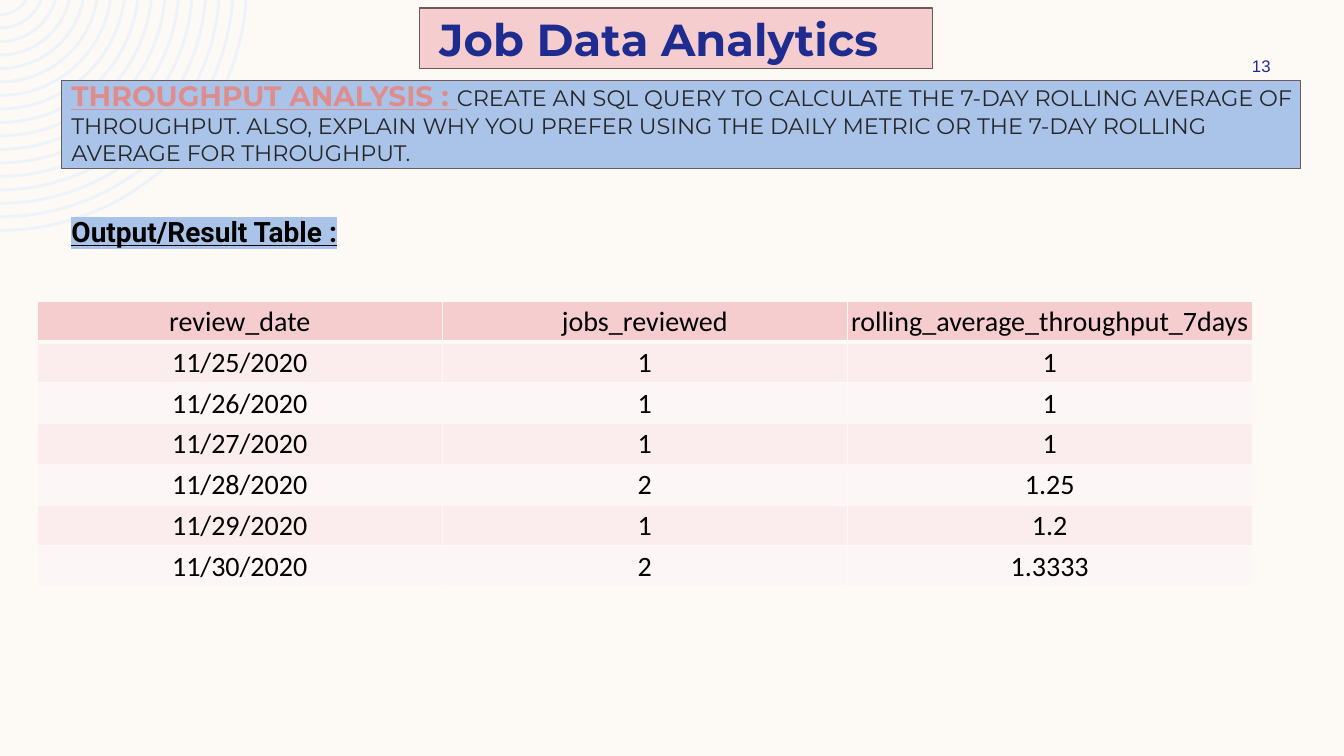
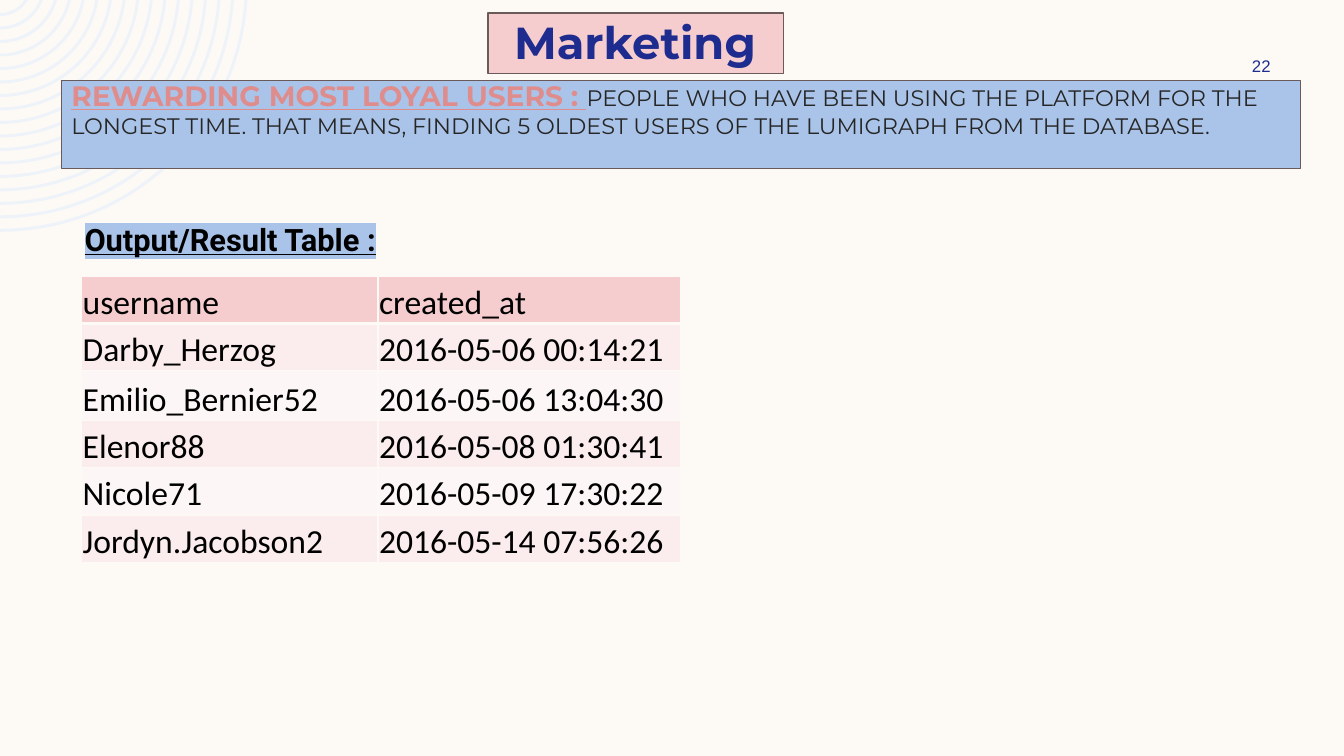
from math import asin, cos, pi, sin, tan

from lxml import etree
from pptx import Presentation
from pptx.dml.color import RGBColor
from pptx.enum.shapes import MSO_SHAPE
from pptx.enum.text import MSO_ANCHOR, PP_ALIGN
from pptx.oxml.ns import qn
from pptx.util import Inches, Pt

RECT = MSO_SHAPE.RECTANGLE
TOP, MID, LOW = MSO_ANCHOR.TOP, MSO_ANCHOR.MIDDLE, MSO_ANCHOR.BOTTOM
LEFT, CENTER = PP_ALIGN.LEFT, PP_ALIGN.CENTER


class Theme:
    paper, ring, edge = "FDFAF6", "EEF3FA", "6B5A5A"
    blue, pink, rose, navy = "AAC4E9", "F5CDCE", "DF8C8C", "1F2C8F"
    ink, black = "262626", "000000"
    bands = ["FDF6F6", "FBEDED"]
    head, sans, label, cells = "Montserrat", "Arial", "Roboto", "Calibri"
    title, lead, body, small = 32, 20, 16, 12


def style(run, face, size, color, bold=False, under=False):
    font = run.font
    font.name, font.size = face, Pt(size)
    font.bold, font.underline = bold, under
    font.color.rgb = RGBColor.from_string(color)


def write(slide, area, parts, anchor=TOP, align=LEFT):
    box = slide.shapes.add_textbox(*map(Inches, area))
    frame = box.text_frame
    frame.word_wrap = True
    frame.vertical_anchor = anchor
    para = frame.paragraphs[0]
    para.alignment = align
    for text, *look in parts:
        run = para.add_run()
        run.text = text
        style(run, *look)
    return box


pages = [
    dict(
        title="Job Data Analytics", plate=(4.16, 0.08, 5.09, 0.6),
        name=(4.26, 0.26, 4.99, 0.24), number="13",
        lead="THROUGHPUT ANALYSIS : ",
        task="CREATE AN SQL QUERY TO CALCULATE THE 7-DAY ROLLING AVERAGE OF "
             "THROUGHPUT. ALSO, EXPLAIN WHY YOU PREFER USING THE DAILY METRIC OR "
             "THE 7-DAY ROLLING AVERAGE FOR THROUGHPUT.",
        label=(0.61, 2.08, 5.79, 0.44), label_size=20,
        grid=(0.37, 2.99), widths=[12.05 / 3] * 3, heights=[2.83 / 7] * 7,
        size=20, anchor=MID, align=CENTER,
        rows=[
            ("review_date", "jobs_reviewed", "rolling_average_throughput_7days"),
            ("11/25/2020", "1", "1"),
            ("11/26/2020", "1", "1"),
            ("11/27/2020", "1", "1"),
            ("11/28/2020", "2", "1.25"),
            ("11/29/2020", "1", "1.2"),
            ("11/30/2020", "2", "1.3333"),
        ],
    ),
    dict(
        title="Marketing", plate=(4.84, 0.13, 2.93, 0.6),
        name=(5, 0.26, 3.5, 0.3), number="22",
        lead="REWARDING MOST LOYAL USERS : ",
        task="PEOPLE WHO HAVE BEEN USING THE PLATFORM FOR THE LONGEST TIME. THAT "
             "MEANS, FINDING 5 OLDEST USERS OF THE LUMIGRAPH FROM THE DATABASE.",
        label=(0.74, 2.14, 5.79, 0.47), label_size=22,
        grid=(0.81, 2.74), widths=[2.94, 3], heights=[0.47, 0.47, 0.49, 0.47, 0.47, 0.47],
        size=24, anchor=LOW, align=LEFT,
        rows=[
            ("username", "created_at"),
            ("Darby_Herzog", "2016-05-06 00:14:21"),
            ("Emilio_Bernier52", "2016-05-06 13:04:30"),
            ("Elenor88", "2016-05-08 01:30:41"),
            ("Nicole71", "2016-05-09 17:30:22"),
            ("Jordyn.Jacobson2", "2016-05-14 07:56:26"),
        ],
    ),
]

deck = Presentation()
deck.slide_width, deck.slide_height = Inches(13.33), Inches(7.5)
blank = deck.slide_layouts[6]
blank.background.fill.solid()
blank.background.fill.fore_color.rgb = RGBColor.from_string(Theme.paper)
slides = [deck.slides.add_slide(blank) for page in pages]

rise = 0.16
rings = []
for index in range(17):
    outer = 2.46 - index * 2.14 / 16
    ring = []
    for radius, order in ((outer, 1), (outer - 0.03, -1)):
        turn = asin(rise / radius)
        pull = radius * 4 / 3 * tan((pi / 2 - turn) / 4)
        x, y = radius * cos(turn), radius * sin(turn)
        curve = [(x, y), (x - pull * sin(turn), y + pull * cos(turn)),
                 (pull, radius), (0, radius)]
        ring += [(Inches(x), Inches(y - rise)) for x, y in curve[::order]]
    rings.append(ring)

pen = slides[0].shapes.build_freeform(*rings[0][0])
pen.add_line_segments(rings[0][1:])
for ring in rings[1:]:
    pen.move_to(*ring[0])
    pen.add_line_segments(ring[1:])
arcs = pen.convert_to_shape()
arcs.shadow.inherit = False
arcs.fill.solid()
arcs.fill.fore_color.rgb = RGBColor.from_string(Theme.ring)
arcs.line.fill.background()
for move in list(arcs.element.iter(qn("a:moveTo"))):
    lines = list(move.itersiblings())[:7]
    for trio in (lines[:3], lines[4:]):
        bend = etree.Element(qn("a:cubicBezTo"))
        trio[0].addprevious(bend)
        for line in trio:
            bend.append(line[0])
            line.getparent().remove(line)
blank.shapes.element.append(arcs.element)

for slide, page in zip(slides, pages):
    for area, color in (((0.61, 0.8, 12.29, 0.87), Theme.blue), (page["plate"], Theme.pink)):
        band = slide.shapes.add_shape(RECT, *map(Inches, area))
        band.shadow.inherit = False
        band.fill.solid()
        band.fill.fore_color.rgb = RGBColor.from_string(color)
        band.line.color.rgb = RGBColor.from_string(Theme.edge)
        band.line.width = Pt(1)

    write(slide, (0.61, 0.73, 12.45, 1.01), [
        (page["lead"], Theme.head, Theme.lead, Theme.rose, True, True),
        (page["task"], Theme.head, Theme.body, Theme.ink),
    ])
    write(slide, page["name"],
          [(page["title"], Theme.head, Theme.title, Theme.navy, True)], MID)
    write(slide, (11.97, 0.5, 1.08, 0.3),
          [(page["number"], Theme.sans, Theme.small, Theme.navy)], MID, CENTER)
    label = write(slide, page["label"], [
        ("Output/Result Table :", Theme.label, page["label_size"], Theme.black, True, True)])
    mark = etree.Element(qn("a:highlight"))
    etree.SubElement(mark, qn("a:srgbClr"), val=Theme.blue)
    next(label.element.iter(qn("a:solidFill"))).addnext(mark)

    rows, widths, heights = page["rows"], page["widths"], page["heights"]
    area = (*page["grid"], sum(widths), sum(heights))
    frame = slide.shapes.add_table(len(rows), len(widths), *map(Inches, area))
    table = frame.table
    for column, width in zip(table.columns, widths):
        column.width = Inches(width)
    for line, height in zip(table.rows, heights):
        line.height = Inches(height)
    nodes = frame.element.iter(qn("a:tc"))
    for at, row in enumerate(rows):
        for col, text in enumerate(row):
            cell = table.cell(at, col)
            cell.text_frame.text = text
            cell.vertical_anchor = page["anchor"]
            cell.margin_left = cell.margin_right = cell.margin_top = Inches(0.01)
            cell.margin_bottom = 0
            para = cell.text_frame.paragraphs[0]
            para.alignment = page["align"]
            style(para.runs[0], Theme.cells, page["size"], Theme.black)
            props = next(nodes).find(qn("a:tcPr"))
            for side in "LRTB":
                thick = (at, side) in ((0, "B"), (1, "T"))
                line = etree.SubElement(props, qn("a:ln" + side), w=str(Pt(3 if thick else 1)))
                fill = etree.SubElement(line, qn("a:solidFill"))
                etree.SubElement(fill, qn("a:srgbClr"), val=Theme.paper)
            cell.fill.solid()
            color = Theme.bands[at % 2] if at else Theme.pink
            cell.fill.fore_color.rgb = RGBColor.from_string(color)

deck.save("out.pptx")
